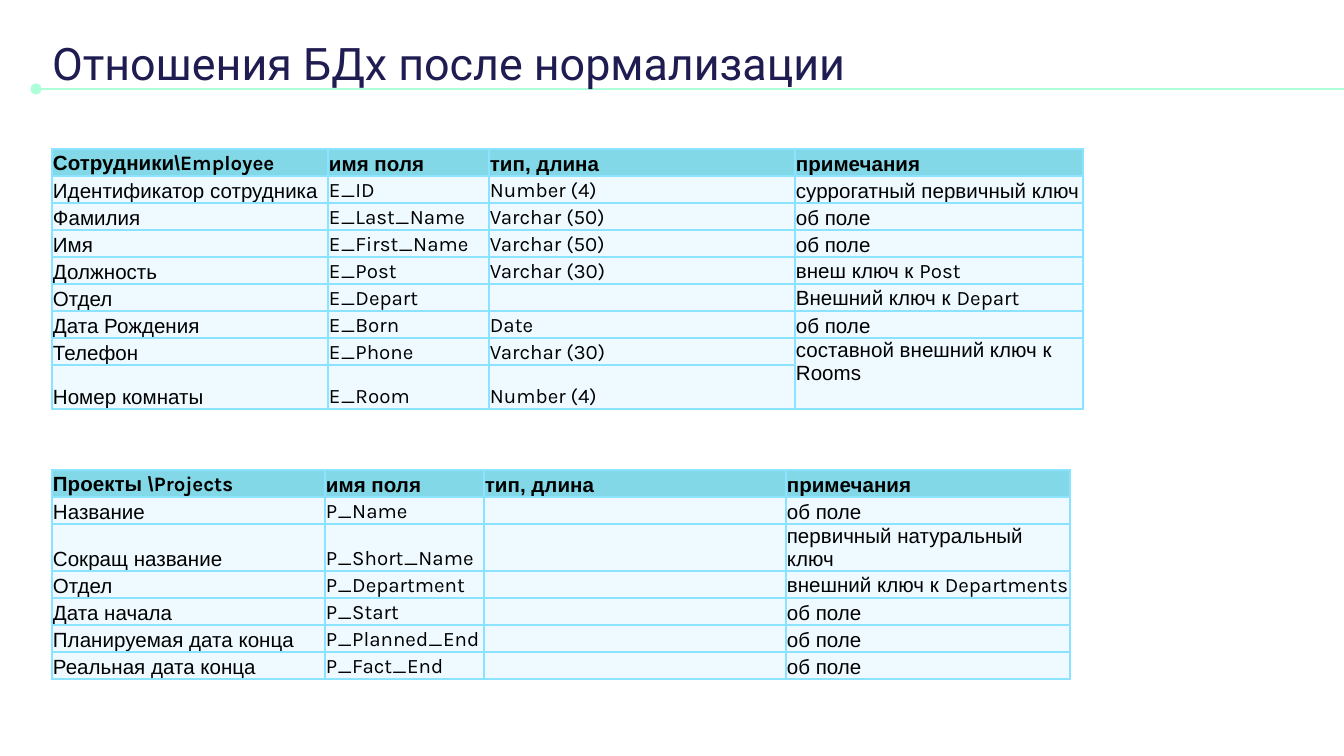
from lxml import etree
from pptx import Presentation
from pptx.dml.color import RGBColor
from pptx.enum.shapes import MSO_CONNECTOR
from pptx.enum.text import MSO_ANCHOR, MSO_AUTO_SIZE, PP_ALIGN
from pptx.oxml.ns import qn
from pptx.util import Emu, Pt

STRAIGHT = MSO_CONNECTOR.STRAIGHT
TOP, MIDDLE, BOTTOM = MSO_ANCHOR.TOP, MSO_ANCHOR.MIDDLE, MSO_ANCHOR.BOTTOM
LEFT, NO_AUTOFIT = PP_ALIGN.LEFT, MSO_AUTO_SIZE.NONE

EMU_PER_PX = 914400 / 134.4
SLIDE_WIDTH, SLIDE_HEIGHT = 1344, 756
TABLE_LEFT, ROW_HEIGHT = 52, 27
TEXT_SIZE = 11
COLORS = {
    "title": "1F1C51",
    "rule": "ACFFD9",
    "text": "000000",
    "header": "82D8E6",
    "body": "EEFAFF",
    "border": "8BE3FF",
}
BORDER_TAGS = ("a:lnL", "a:lnR", "a:lnT", "a:lnB")
FONTS = ("Arial", "Karla")
FONT_BREAK = "|"

HEADINGS = ("имя поля", "тип, длина", "примечания")
EMPLOYEE_ROWS = [
    ("Сотрудники\\|Employee", *HEADINGS),
    ("Идентификатор сотрудника", "|E_ID", "|Number (4)", "cуррогатный первичный ключ"),
    ("Фамилия", "|E_Last_Name", "|Varchar (50)", "об поле"),
    ("Имя", "|E_First_Name", "|Varchar (50)", "об поле"),
    ("Должность", "|E_Post", "|Varchar (30)", "внеш ключ к |Post"),
    ("Отдел", "|E_Depart", "", "Внешний ключ к |Depart"),
    ("Дата Рождения", "|E_Born", "|Date", "об поле"),
    ("Телефон", "|E_Phone", "|Varchar (30)", "составной внешний ключ к Rooms"),
    ("Номер комнаты", "|E_Room", "|Number (4)", ""),
]
PROJECT_ROWS = [
    ("Проекты \\|Projects", *HEADINGS),
    ("Название", "|P_Name", "", "об поле"),
    ("Сокращ название", "|P_Short_Name", "", "первичный натуральный ключ"),
    ("Отдел", "|P_Department", "", "внешний ключ к |Departments"),
    ("Дата начала", "|P_Start", "", "об поле"),
    ("Планируемая дата конца", "|P_Planned_End", "", "об поле"),
    ("Реальная дата конца", "|P_Fact_End", "", "об поле"),
]


def px(length):
    """Turn pixels into EMU."""
    return Emu(round(length * EMU_PER_PX))


def color(name):
    """Return a named colour."""
    return RGBColor.from_string(COLORS[name])


def set_title(slide, text):
    """Place and format the slide title."""
    title = slide.shapes.title
    title.left, title.top, title.width, title.height = map(px, (39, 23, 894, 79))
    frame = title.text_frame
    frame.text = text
    frame.auto_size = NO_AUTOFIT
    frame.vertical_anchor = MIDDLE
    frame.margin_left = frame.margin_right = px(13)
    frame.margin_top = frame.margin_bottom = px(13)
    paragraph = frame.paragraphs[0]
    paragraph.alignment = LEFT
    paragraph.font.name = "Roboto"
    paragraph.font.size = Pt(24)
    paragraph.font.color.rgb = color("title")


def add_title_rule(slide):
    """Draw the line with a round start behind the title."""
    rule = slide.shapes.add_connector(STRAIGHT, px(36), px(89), px(SLIDE_WIDTH), px(89))
    rule.line.color.rgb = color("rule")
    rule.line.width = Pt(1.5)
    etree.SubElement(rule.line._get_or_add_ln(), qn("a:headEnd"), type="oval")
    etree.SubElement(rule._element.spPr, qn("a:effectLst"))
    slide.shapes._spTree.insert(2, rule._element)


def set_borders(cell):
    """Draw all four borders of a cell."""
    properties = cell._tc.get_or_add_tcPr()
    for position, tag in enumerate(BORDER_TAGS):
        border = etree.Element(qn(tag), w=str(Pt(1)))
        fill = etree.SubElement(border, qn("a:solidFill"))
        etree.SubElement(fill, qn("a:srgbClr"), val=COLORS["border"])
        properties.insert(position, border)


def fill_cell(cell, text, is_header):
    """Write and format one cell, changing font at the break mark."""
    cell.fill.solid()
    cell.fill.fore_color.rgb = color("header" if is_header else "body")
    cell.vertical_anchor = BOTTOM
    cell.margin_left = cell.margin_right = cell.margin_top = px(1)
    cell.margin_bottom = 0
    paragraph = cell.text_frame.paragraphs[0]
    paragraph.font.size = Pt(TEXT_SIZE)
    paragraph.font.bold = is_header
    paragraph.font.color.rgb = color("text")
    for part, font_name in zip(text.split(FONT_BREAK), FONTS):
        if part:
            run = paragraph.add_run()
            run.text = part
            run.font.name = font_name
    if not text:
        paragraph._p.get_or_add_endParaRPr().set("sz", str(TEXT_SIZE * 100))
    set_borders(cell)


def add_relation_table(slide, top, column_widths, rows, tall_row, tall_height):
    """Add a relation as a table with one taller row."""
    heights = [tall_height if row == tall_row else ROW_HEIGHT for row in range(len(rows))]
    frame = slide.shapes.add_table(
        len(rows), len(column_widths), px(TABLE_LEFT), px(top),
        px(sum(column_widths)), px(sum(heights)),
    )
    table = frame.table
    table.first_row = table.horz_banding = False
    for column, width in zip(table.columns, column_widths):
        column.width = px(width)
    for row_index, (row, height, texts) in enumerate(zip(table.rows, heights, rows)):
        row.height = px(height)
        for cell, text in zip(row.cells, texts):
            fill_cell(cell, text, row_index == 0)
    return table


def main():
    """Build the slide and save it."""
    presentation = Presentation()
    presentation.slide_width = px(SLIDE_WIDTH)
    presentation.slide_height = px(SLIDE_HEIGHT)
    slide = presentation.slides.add_slide(presentation.slide_layouts[5])
    set_title(slide, "Отношения БДх после нормализации")
    add_title_rule(slide)
    employees = add_relation_table(slide, 149, (276, 161, 306, 288), EMPLOYEE_ROWS, 8, 44)
    room_key = employees.cell(7, 3)
    room_key.merge(employees.cell(8, 3))
    room_key.vertical_anchor = TOP
    add_relation_table(slide, 470, (273, 159, 302, 284), PROJECT_ROWS, 2, 47)
    presentation.save("out.pptx")


if __name__ == "__main__":
    main()
